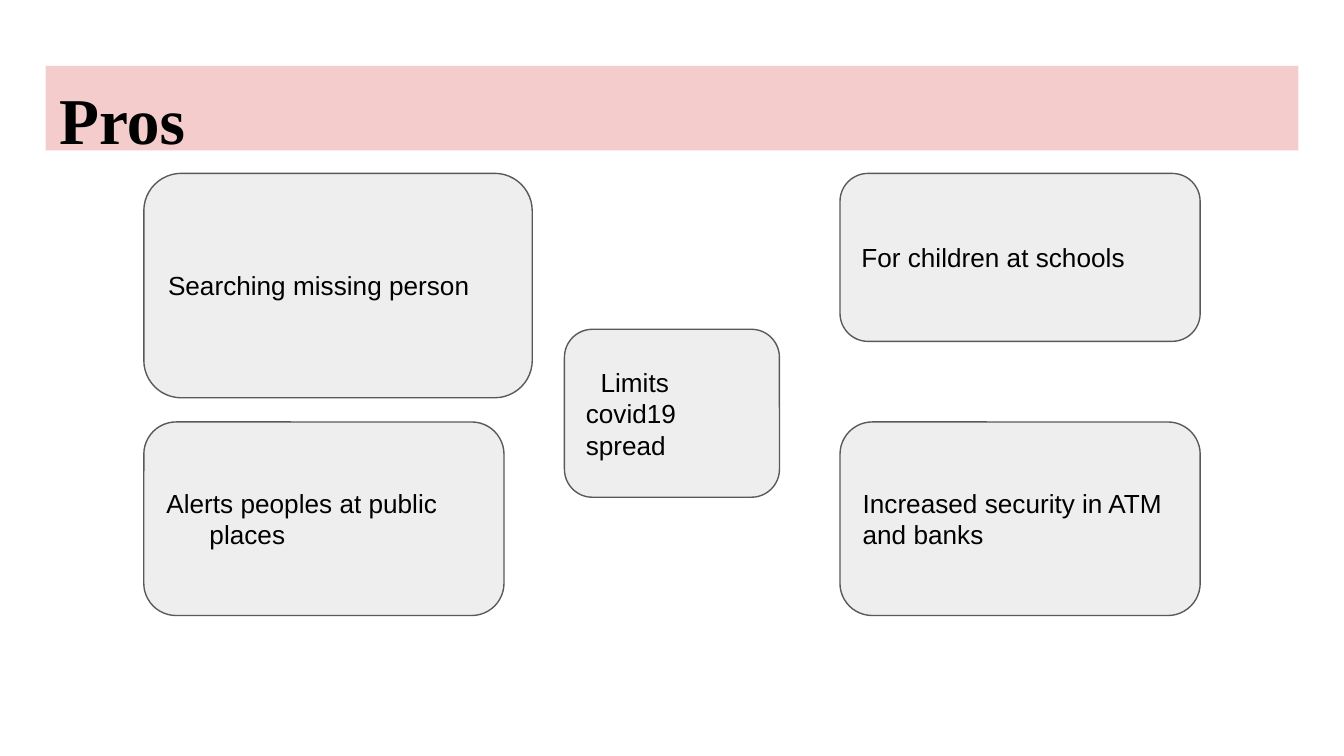
"""Build the slide that lists the pros in rounded cards around a centre card."""
from pptx import Presentation
from pptx.dml.color import RGBColor
from pptx.enum.shapes import MSO_SHAPE
from pptx.enum.text import MSO_ANCHOR, MSO_AUTO_SIZE, PP_ALIGN
from pptx.util import Inches, Pt

COLORS = {"banner": "F4CCCC", "card": "EEEEEE", "outline": "595959", "text": "000000"}
COLUMNS = {"left": 1.07, "middle": 4.2, "right": 6.25}
ROWS = {"top": 1.29, "middle": 2.45, "bottom": 3.14}
CARDS = [
    ("Limits covid19 spread", "middle", "middle", 1.6, 1.25, 0, 0.11),
    ("For children at schools", "right", "top", 2.68, 1.25, 0, 0),
    ("Alerts peoples at public places", "left", "bottom", 2.68, 1.44, 0.32, -0.32),
    ("Increased security in ATM and banks", "right", "bottom", 2.68, 1.44, 0, 0),
    ("Searching missing person", "left", "top", 2.89, 1.67, 0, 0),
]


def color(name):
    return RGBColor.from_string(COLORS[name])


def write_text(shape, text, font_name, size, anchor, bold=False):
    frame = shape.text_frame
    frame.text = text
    frame.word_wrap = True
    frame.auto_size = MSO_AUTO_SIZE.NONE
    frame.vertical_anchor = anchor
    frame.margin_left = frame.margin_right = Inches(0.1)
    frame.margin_top = frame.margin_bottom = Inches(0.1)
    line = frame.paragraphs[0]
    line.alignment = PP_ALIGN.LEFT
    line.font.name = font_name
    line.font.size = Pt(size)
    line.font.bold = bold
    line.font.color.rgb = color("text")
    return line


def add_heading(slide, text):
    heading = slide.shapes.title
    heading.left, heading.top = Inches(0.34), Inches(0.49)
    heading.width, heading.height = Inches(9.32), Inches(0.63)
    heading.fill.solid()
    heading.fill.fore_color.rgb = color("banner")
    line = write_text(heading, text, "Times New Roman", 35, MSO_ANCHOR.TOP, bold=True)
    line.space_before = Pt(0)


def add_card(slide, text, column, row, width, height, margin, indent):
    card = slide.shapes.add_shape(
        MSO_SHAPE.ROUNDED_RECTANGLE, Inches(COLUMNS[column]), Inches(ROWS[row]),
        Inches(width), Inches(height))
    card.shadow.inherit = False
    card.fill.solid()
    card.fill.fore_color.rgb = color("card")
    card.line.color.rgb = color("outline")
    card.line.width = Pt(0.75)
    line = write_text(card, text, "Arial", 14, MSO_ANCHOR.MIDDLE)
    layout = line._p.get_or_add_pPr()
    layout.set("marL", str(Inches(margin)))
    layout.set("indent", str(Inches(indent)))


def main():
    deck = Presentation()
    deck.slide_width = Inches(10)
    deck.slide_height = deck.slide_width * 9 // 16
    slide = deck.slides.add_slide(deck.slide_layouts[5])
    add_heading(slide, "Pros")
    for card in CARDS:
        add_card(slide, *card)
    deck.save("out.pptx")


if __name__ == "__main__":
    main()
